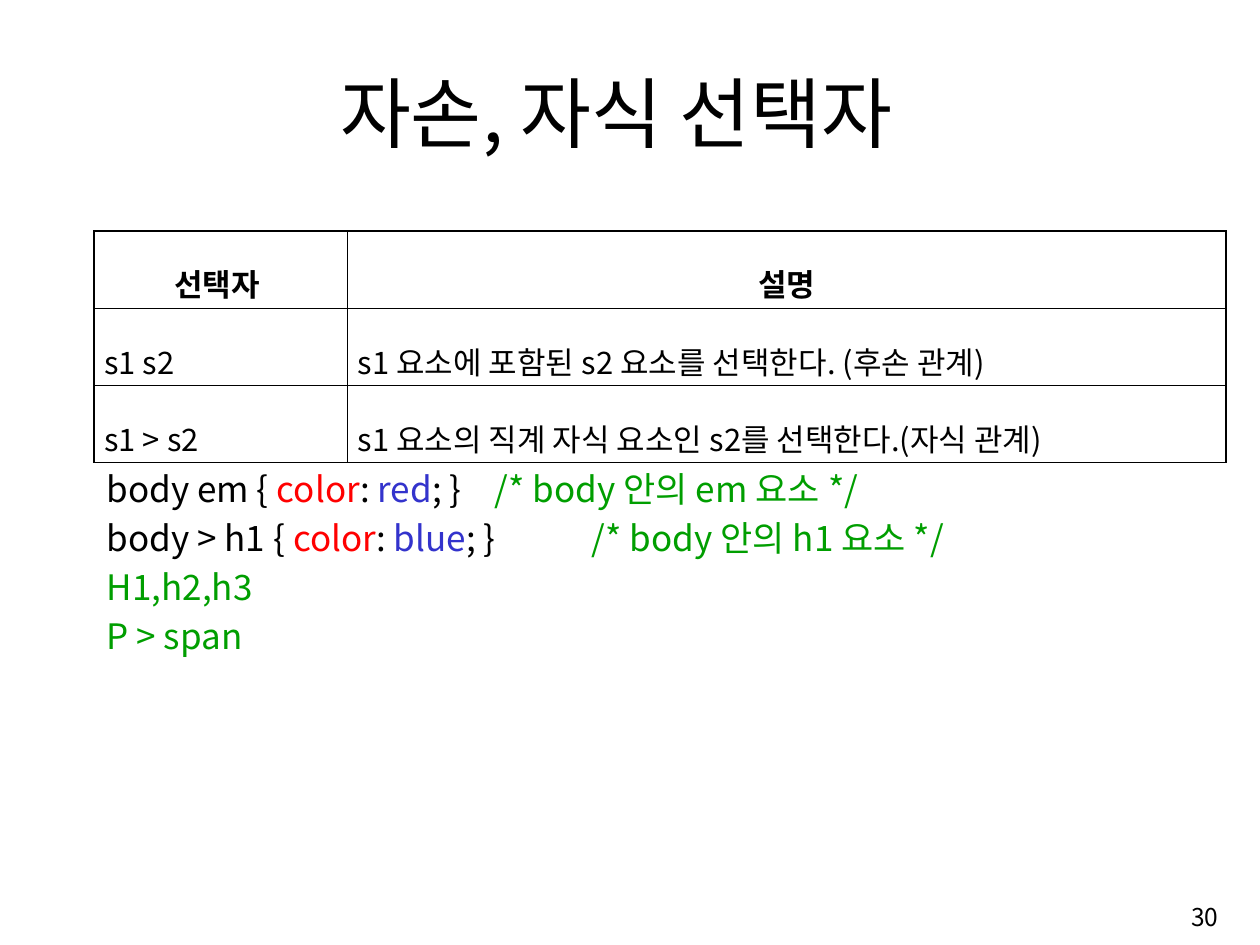
import dataclasses

import pptx
import pptx.dml.color
import pptx.enum.text
import pptx.oxml
import pptx.oxml.ns
import pptx.util

Pt = pptx.util.Pt
ALIGN = pptx.enum.text.PP_ALIGN
ANCHOR = pptx.enum.text.MSO_ANCHOR


@dataclasses.dataclass(frozen=True)
class Theme:
    font: str = "Noto Sans CJK KR"
    ink: str = "000000"
    paper: str = "FFFFFF"
    property_red: str = "FF0000"
    value_blue: str = "3333CC"
    comment_green: str = "009E00"
    title_size: float = 57.2
    table_size: float = 23
    code_size: float = 26
    number_size: float = 18.2


THEME = Theme()


def rgb(value):
    return pptx.dml.color.RGBColor.from_string(value)


def add_xml(parent, body):
    """Append a DrawingML element; body is the tag name and all that follows it."""
    parent.append(pptx.oxml.parse_xml(f"<a:{body}".replace(
        " ", f" {pptx.oxml.ns.nsdecls('a')} ", 1)))


def write(paragraph, text, *, size, color=THEME.ink, bold=False,
          align=ALIGN.LEFT, spacing=None):
    """Add one formatted run to a paragraph."""
    paragraph.alignment = align
    if spacing:
        paragraph.line_spacing = spacing
    run = paragraph.add_run()
    run.text = text
    run.font.size = Pt(size)
    run.font.bold = bold
    run.font.color.rgb = rgb(color)
    run.font.name = THEME.font
    add_xml(run.font._element, f'ea typeface="{THEME.font}"/>')


class SlideBuilder:
    def __init__(self, slide, theme):
        self.slide = slide
        self.theme = theme

    def frame(self, shape, anchor, inset_x, inset_y):
        frame = shape.text_frame
        frame.word_wrap = True
        frame.auto_size = pptx.enum.text.MSO_AUTO_SIZE.NONE
        frame.vertical_anchor = anchor
        frame.margin_left = frame.margin_right = Pt(inset_x)
        frame.margin_top = frame.margin_bottom = Pt(inset_y)
        return frame

    def title(self, text, left, top, width, height):
        heading = self.slide.shapes.title
        heading.left, heading.top = Pt(left), Pt(top)
        heading.width, heading.height = Pt(width), Pt(height)
        frame = self.frame(heading, ANCHOR.BOTTOM, 9.4, 4.3)
        write(frame.paragraphs[0], text, size=self.theme.title_size,
              align=ALIGN.CENTER)

    def textbox(self, left, top, width, height, anchor=ANCHOR.TOP,
                inset_x=9.4, inset_y=4.3):
        box = self.slide.shapes.add_textbox(
            Pt(left), Pt(top), Pt(width), Pt(height))
        return self.frame(box, anchor, inset_x, inset_y)

    def code(self, lines, left, top, width, height):
        """Each line is a tab position and its (text, color) pieces."""
        frame = self.textbox(left, top, width, height)
        for index, (tab, pieces) in enumerate(lines):
            line = frame.paragraphs[0] if index == 0 else frame.add_paragraph()
            for text, color in pieces:
                write(line, text, size=self.theme.code_size, color=color,
                      spacing=Pt(36.5))
            if tab:
                add_xml(line._p.get_or_add_pPr(),
                        f'tabLst ><a:tab pos="{Pt(tab)}" algn="l"/></a:tabLst>')

    def table(self, rows, left, top, column_widths, row_height):
        grid = self.slide.shapes.add_table(
            len(rows), len(column_widths), Pt(left), Pt(top),
            Pt(sum(column_widths)), Pt(row_height * len(rows))).table
        grid.first_row = grid.horz_banding = False
        for column, width in zip(grid.columns, column_widths):
            column.width = Pt(width)
        for r, row in enumerate(rows):
            grid.rows[r].height = Pt(row_height)
            for c, text in enumerate(row):
                self.cell(grid.cell(r, c), text, header=r == 0)

    def cell(self, cell, text, header):
        cell.vertical_anchor = ANCHOR.MIDDLE
        cell.margin_left = cell.margin_right = Pt(7.7)
        cell.margin_top = cell.margin_bottom = Pt(2)
        properties = cell._tc.get_or_add_tcPr()
        for side in "LRTB":
            add_xml(properties,
                    f'ln{side} w="{Pt(1)}"><a:solidFill><a:srgbClr '
                    f'val="{self.theme.ink}"/></a:solidFill></a:ln{side}>')
        cell.fill.solid()
        cell.fill.fore_color.rgb = rgb(self.theme.paper)
        write(cell.text_frame.paragraphs[0], text, size=self.theme.table_size,
              bold=header, spacing=1.6,
              align=ALIGN.CENTER if header else ALIGN.JUSTIFY)


def css_rule(selector, value, comment):
    return [(selector + " { ", THEME.ink), ("color", THEME.property_red),
            (": ", THEME.ink), (value, THEME.value_blue),
            ("; }\t", THEME.ink), (comment, THEME.comment_green)]


def main():
    deck = pptx.Presentation()
    deck.slide_width, deck.slide_height = Pt(935.3), Pt(701.3)
    title_only = deck.slide_layouts[5]
    builder = SlideBuilder(deck.slides.add_slide(title_only), THEME)

    # Title
    builder.title("자손, 자식 선택자", 75.6, 43.9, 763.9, 77.8)

    # Selector table
    selectors = [
        ("선택자 ", "설명"),
        ("s1 s2", "s1 요소에 포함된 s2 요소를 선택한다. (후손 관계)"),
        ("s1 > s2", "s1 요소의 직계 자식 요소인 s2를 선택한다.(자식 관계)"),
    ]
    builder.table(selectors, 69.8, 171.4, (188, 652.3), 48.4)

    # Code examples
    examples = [
        (288, css_rule("body em", "red", "/* body 안의 em 요소 */")),
        (360, css_rule("body > h1", "blue", "/* body 안의 h1 요소 */")),
        (None, [("H1,h2,h3", THEME.comment_green)]),
        (None, [("P > span", THEME.comment_green)]),
    ]
    builder.code(examples, 69.8, 337, 840.3, 165.6)

    # Slide number
    number = builder.textbox(718.6, 658.8, 193, 43.2, ANCHOR.MIDDLE, 7.2, 3.6)
    write(number.paragraphs[0], "30", size=THEME.number_size, align=ALIGN.RIGHT)

    deck.save("out.pptx")


if __name__ == "__main__":
    main()
